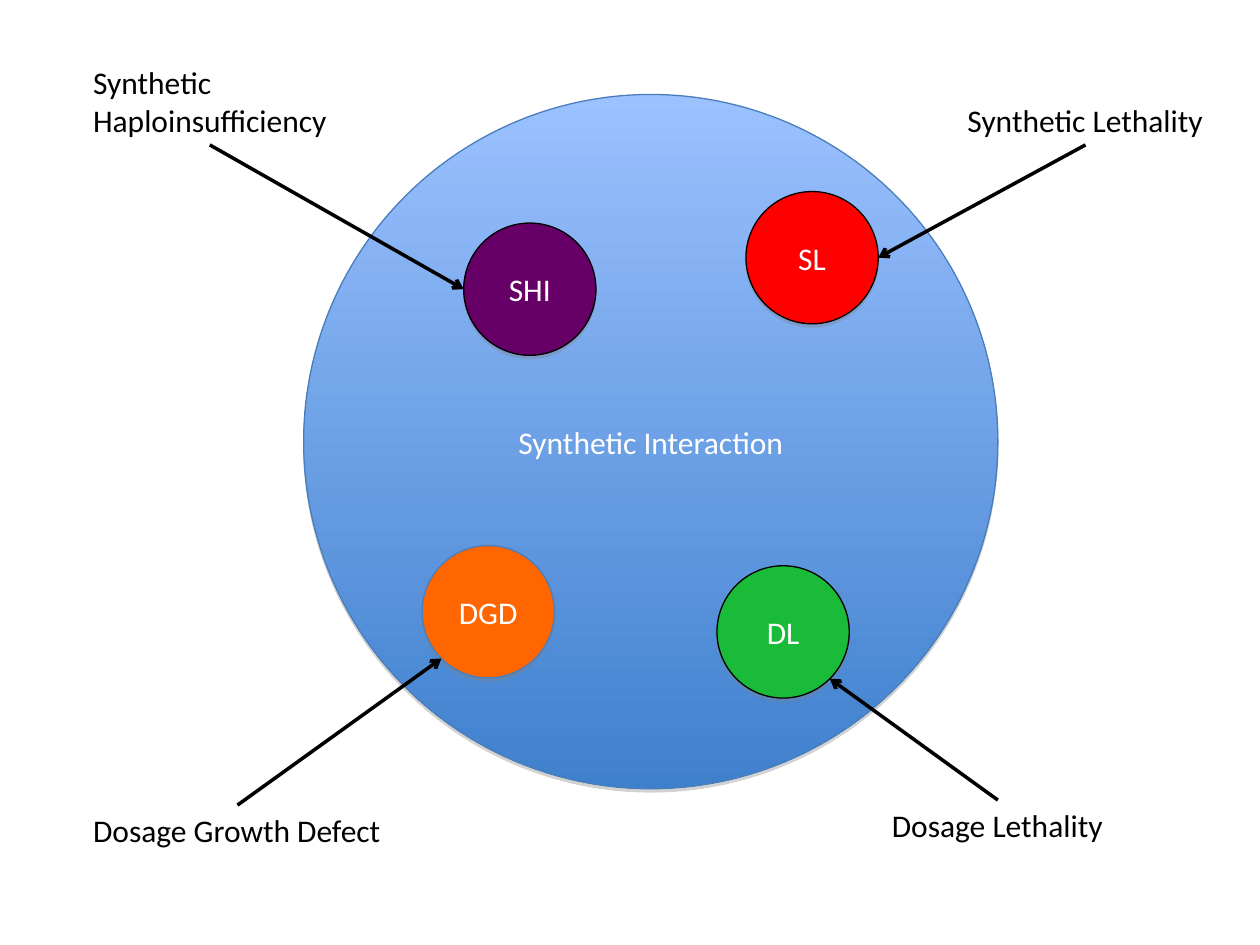
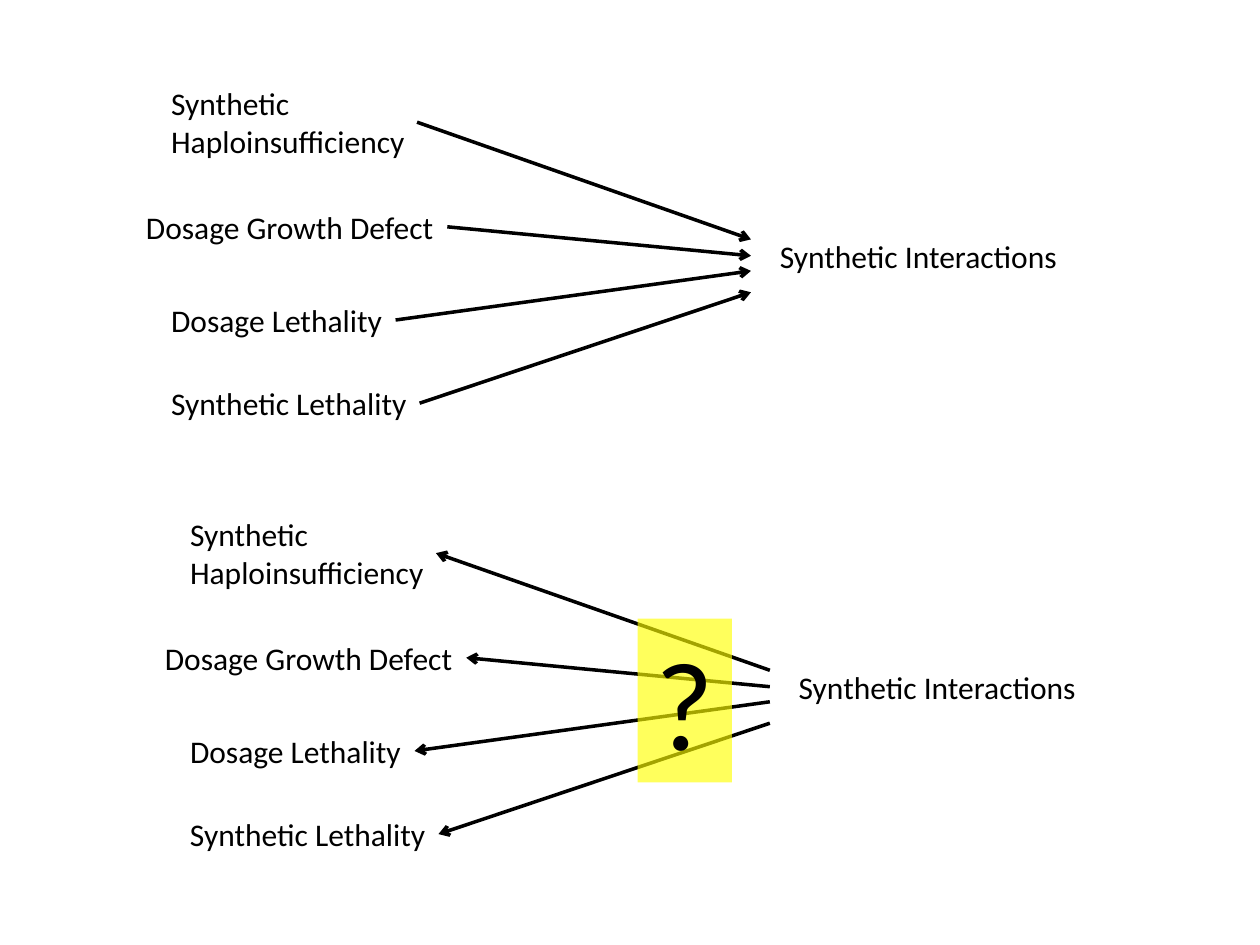
from math import cos, radians, sin

from lxml.etree import SubElement
from pptx import Presentation
from pptx.dml.color import RGBColor
from pptx.enum.shapes import MSO_CONNECTOR, MSO_SHAPE
from pptx.enum.text import MSO_ANCHOR, MSO_AUTO_SIZE, PP_ALIGN
from pptx.oxml.ns import qn
from pptx.util import Pt

PX = 9144  # EMU in one px, 100 px to the inch
SLIDE_WIDTH, SLIDE_HEIGHT = 1000, 750

BLACK = RGBColor(0x00, 0x00, 0x00)
WHITE = RGBColor(0xFF, 0xFF, 0xFF)
BLUE_EDGE = RGBColor(0x4A, 0x7E, 0xBB)
BLUE_LIGHT = RGBColor(0x9B, 0xC1, 0xFF)
BLUE_DARK = RGBColor(0x3F, 0x80, 0xCD)
ORANGE = RGBColor(0xFF, 0x66, 0x00)
GREEN = RGBColor(0x1A, 0xBB, 0x39)
RED = RGBColor(0xFF, 0x00, 0x00)
PURPLE = RGBColor(0x66, 0x00, 0x66)
YELLOW = RGBColor(0xFF, 0xFF, 0x00)
SHADOW_GREY = "808080"

BODY_FONT = {"name": "Calibri", "size": Pt(18)}
QUESTION_FONT = {"name": "Calibri", "size": Pt(72)}
LABEL_FRAME = {"word_wrap": False, "auto_size": MSO_AUTO_SIZE.SHAPE_TO_FIT_TEXT}
CIRCLE_FRAME = {"word_wrap": True, "vertical_anchor": MSO_ANCHOR.MIDDLE}
QUESTION_FRAME = {"word_wrap": True, "vertical_anchor": MSO_ANCHOR.TOP,
                  "auto_size": MSO_AUTO_SIZE.SHAPE_TO_FIT_TEXT}

TOP, BOTTOM, RIGHT = 0, 2, 3  # connection sites of a label

# term: (wording, width, height)
TERMS = {
    "SHI": ("Synthetic\nHaploinsufficiency", 205, 70),
    "DGD": ("Dosage Growth Defect", 249, 40),
    "DL": ("Dosage Lethality", 188, 40),
    "SL": ("Synthetic Lethality", 207, 40),
}
HUB = ("Synthetic Interactions", 241, 40)

# term: fill, edge, circle place, label place, label side, angle where the arrow meets the circle
SUBTYPES = {
    "DGD": (ORANGE, BLUE_EDGE, (94, 358), (-177, 564), TOP, 135),
    "DL": (GREEN, BLACK, (328, 374), (457, 560), TOP, 45),
    "SL": (RED, BLACK, (351, 77), (517, 0), BOTTOM, 0),
    "SHI": (PURPLE, BLACK, (127, 102), (-177, -30), BOTTOM, 180),
}
SUBTYPE_SIZE = 105

# term: label place, height at which its line meets the hub
BRANCHES = {
    "SHI": ((20, 0), 128),
    "DGD": ((0, 98), 141),
    "DL": ((20, 172), 153),
    "SL": ((20, 238), 170),
}
HUB_PLACE = (503, 121)
HUB_LINE_X = 490


def emu(*lengths):
    return [round(length * PX) for length in lengths]


def set_all(target, values):
    for attribute, value in values.items():
        setattr(target, attribute, value)


def write(shape, text, frame_format, font_format, color, align):
    frame = shape.text_frame
    set_all(frame, frame_format)
    frame.text = text
    for paragraph in frame.paragraphs:
        paragraph.alignment = align
        set_all(paragraph.font, font_format)
        paragraph.font.color.rgb = color


def add_label(slide, left, top, term):
    text, width, height = term
    label = slide.shapes.add_textbox(*emu(left, top, width, height))
    write(label, text, LABEL_FRAME, BODY_FONT, BLACK, PP_ALIGN.LEFT)
    return label


def add_arrow(slide, label, side, x, y, arrowhead="tailEnd"):
    """Join a label's side to the point x, y; headEnd points at the label."""
    arrow = slide.shapes.add_connector(MSO_CONNECTOR.STRAIGHT, 0, 0, *emu(x, y))
    arrow.begin_connect(label, side)
    arrow.line.color.rgb = BLACK
    arrow.line.width = Pt(2)
    properties = arrow._element.spPr
    SubElement(properties.find(qn("a:ln")), qn(f"a:{arrowhead}"), type="arrow")
    SubElement(properties, qn("a:effectLst"))


def add_shadow(shape):
    shape.shadow.inherit = False
    effects = shape._element.spPr.find(qn("a:effectLst"))
    shadow = SubElement(effects, qn("a:outerShdw"), blurRad="0", dist=str(Pt(1.8)),
                        dir="5400000", rotWithShape="0")
    grey = SubElement(shadow, qn("a:srgbClr"), val=SHADOW_GREY)
    SubElement(grey, qn("a:alpha"), val="35000")


def add_circle(slide, left, top, size, text, fill_colors, edge):
    """Draw a shadowed circle, with a downward gradient if two colours are given."""
    circle = slide.shapes.add_shape(MSO_SHAPE.OVAL, *emu(left, top, size, size))
    if len(fill_colors) == 1:
        circle.fill.solid()
        circle.fill.fore_color.rgb = fill_colors[0]
    else:
        circle.fill.gradient()
        circle.fill.gradient_angle = 270
        for stop, color in zip(circle.fill.gradient_stops, fill_colors):
            stop.color.rgb = color
    circle.line.color.rgb = edge
    circle.line.width = Pt(0.75)
    add_shadow(circle)
    write(circle, text, CIRCLE_FRAME, BODY_FONT, WHITE, PP_ALIGN.CENTER)


def add_interaction_map(slide, left, top, size):
    add_circle(slide, left, top, size, "Synthetic Interaction",
               (BLUE_LIGHT, BLUE_DARK), BLUE_EDGE)
    radius = SUBTYPE_SIZE / 2
    for term, (fill, edge, place, label_place, side, angle) in SUBTYPES.items():
        x, y = left + place[0], top + place[1]
        add_circle(slide, x, y, SUBTYPE_SIZE, term, (fill,), edge)
        label = add_label(slide, left + label_place[0], top + label_place[1], TERMS[term])
        add_arrow(slide, label, side,
                  x + radius * (1 + cos(radians(angle))),
                  y + radius * (1 + sin(radians(angle))))


def add_branches(slide, left, top, arrowhead):
    for term, ((x, y), hub_y) in BRANCHES.items():
        label = add_label(slide, left + x, top + y, TERMS[term])
        add_arrow(slide, label, RIGHT, left + HUB_LINE_X, top + hub_y, arrowhead)
    add_label(slide, left + HUB_PLACE[0], top + HUB_PLACE[1], HUB)


def add_question(slide, left, top, width, height):
    question = slide.shapes.add_shape(MSO_SHAPE.RECTANGLE, *emu(left, top, width, height))
    question.fill.solid()
    question.fill.fore_color.rgb = YELLOW
    yellow = question._element.spPr.find(qn("a:solidFill"))[0]
    SubElement(yellow, qn("a:alpha"), val="64000")
    question.line.fill.background()
    question.shadow.inherit = False
    write(question, "?", QUESTION_FRAME, QUESTION_FONT, BLACK, PP_ALIGN.CENTER)


def main():
    deck = Presentation()
    deck.slide_width, deck.slide_height = emu(SLIDE_WIDTH, SLIDE_HEIGHT)
    blank = deck.slide_layouts[6]

    add_interaction_map(deck.slides.add_slide(blank), 241, 75, 551)

    directions = deck.slides.add_slide(blank)
    add_branches(directions, 106, 62, "tailEnd")
    add_branches(directions, 121, 404, "headEnd")
    add_question(directions, 506, 491, 75, 130)

    deck.save("out.pptx")


if __name__ == "__main__":
    main()
